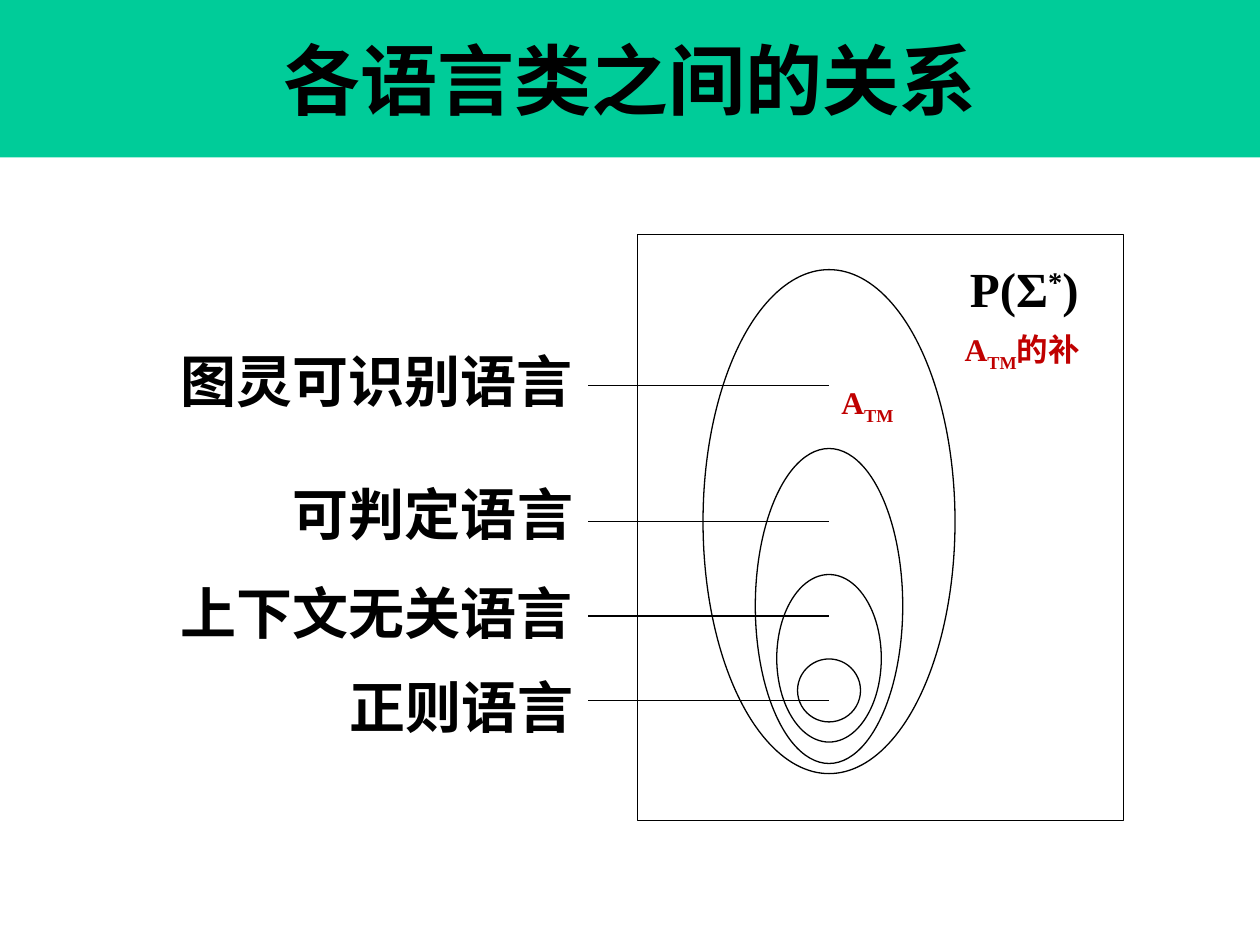
from dataclasses import dataclass

from lxml import etree
from pptx import Presentation
from pptx import util as u
from pptx.dml.color import RGBColor
from pptx.enum import shapes, text
from pptx.oxml.ns import qn


@dataclass(frozen=True)
class Theme:
    font: str = "Times New Roman"
    ink: str = "000000"
    accent: str = "C00000"
    banner: str = "00CC99"
    title: int = 44
    label: int = 32
    universe: int = 28
    example: int = 18
    outline: float = 0.75


@dataclass(frozen=True)
class Box:
    left: float
    top: float
    width: float
    height: float

    def inner(self, left, top, width, height):
        return Box(self.left + left, self.top + top, width, height)

    def lengths(self):
        return [u.Inches(v) for v in (self.left, self.top, self.width, self.height)]


@dataclass(frozen=True)
class LanguageClass:
    name: str
    label_top: float
    label_width: float
    leader_y: float
    oval_top: float
    oval_width: float
    oval_height: float


THEME = Theme()
SUPER, SUB = 30000, -25000
CLASSES = [
    LanguageClass("正则语言", 3.43, 2.09, 3.7, 3.37, 0.5, 0.5),
    LanguageClass("上下文无关语言", 2.68, 3.42, 3.03, 2.7, 0.83, 1.33),
    LanguageClass("可判定语言", 1.9, 2.53, 2.28, 1.7, 1.17, 2.5),
    LanguageClass("图灵可识别语言", 0.84, 3.42, 1.2, 0.28, 2, 4),
]
OVAL_CENTER = 1.52
LEADER_START = -0.39
LABEL_RIGHT = -0.31


def write(shape, runs, size, color=THEME.ink, align=text.PP_ALIGN.LEFT,
          anchor=text.MSO_ANCHOR.TOP, wrap=False, margin_right=0.1):
    frame = shape.text_frame
    frame.word_wrap = wrap
    frame.vertical_anchor = anchor
    frame.margin_right = u.Inches(margin_right)
    paragraph = frame.paragraphs[0]
    paragraph.alignment = align
    for words, baseline in runs:
        run = paragraph.add_run()
        run.text = words
        run.font.name = THEME.font
        run.font.size = u.Pt(size)
        run.font.bold = True
        run.font.color.rgb = RGBColor.from_string(color)
        if baseline:
            run.font._element.set("baseline", str(baseline))


def add_label(slide, box, runs, size, **style):
    write(slide.shapes.add_textbox(*box.lengths()), runs, size, **style)


def add_outline(slide, kind, box):
    outline = slide.shapes.add_shape(kind, *box.lengths())
    outline.shadow.inherit = False
    outline.fill.background()
    outline.line.color.rgb = RGBColor.from_string(THEME.ink)
    outline.line.width = u.Pt(THEME.outline)


def add_leader(slide, start, end, y):
    leader = slide.shapes.add_connector(
        shapes.MSO_CONNECTOR.STRAIGHT,
        u.Inches(start), u.Inches(y), u.Inches(end), u.Inches(y))
    leader.line.color.rgb = RGBColor.from_string(THEME.ink)
    leader.line.width = u.Pt(THEME.outline)
    etree.SubElement(leader._element.spPr, qn("a:effectLst"))


def add_title(slide, box, title):
    banner = slide.shapes.add_shape(shapes.MSO_SHAPE.RECTANGLE, *box.lengths())
    banner.shadow.inherit = False
    banner.fill.solid()
    banner.fill.fore_color.rgb = RGBColor.from_string(THEME.banner)
    banner.line.fill.background()
    write(banner, [(title, 0)], THEME.title, align=text.PP_ALIGN.CENTER,
          anchor=text.MSO_ANCHOR.MIDDLE, wrap=True)


def add_hierarchy(slide, universe):
    for item in CLASSES:
        add_label(slide,
                  universe.inner(LABEL_RIGHT - item.label_width, item.label_top,
                                 item.label_width, 0.63),
                  [(item.name, 0)], THEME.label,
                  align=text.PP_ALIGN.RIGHT, wrap=True, margin_right=0.2)
        add_leader(slide, universe.left + LEADER_START,
                   universe.left + OVAL_CENTER, universe.top + item.leader_y)
        add_outline(slide, shapes.MSO_SHAPE.OVAL,
                    universe.inner(OVAL_CENTER - item.oval_width / 2, item.oval_top,
                                   item.oval_width, item.oval_height))
    add_outline(slide, shapes.MSO_SHAPE.RECTANGLE, universe)


def add_examples(slide, universe):
    add_label(slide, universe.inner(2.54, 0.14, 1.06, 0.57),
              [("P(Σ", 0), ("*", SUPER), (")", 0)], THEME.universe)
    add_label(slide, universe.inner(2.45, 0.71, 1.26, 0.4),
              [(" A", 0), ("TM", SUB), ("的补", 0)], THEME.example,
              color=THEME.accent)
    add_label(slide, universe.inner(1.52, 1.13, 0.7, 0.4),
              [("A", 0), ("TM", SUB)], THEME.example, color=THEME.accent)


def main():
    deck = Presentation()
    deck.slide_width, deck.slide_height = u.Inches(10), u.Inches(7.5)
    slide = deck.slides.add_slide(deck.slide_layouts[6])
    universe = Box(5.06, 1.86, 3.86, 4.65)
    add_title(slide, Box(0, 0, 10, 1.25), "各语言类之间的关系")
    add_hierarchy(slide, universe)
    add_examples(slide, universe)
    deck.save("out.pptx")


if __name__ == "__main__":
    main()
